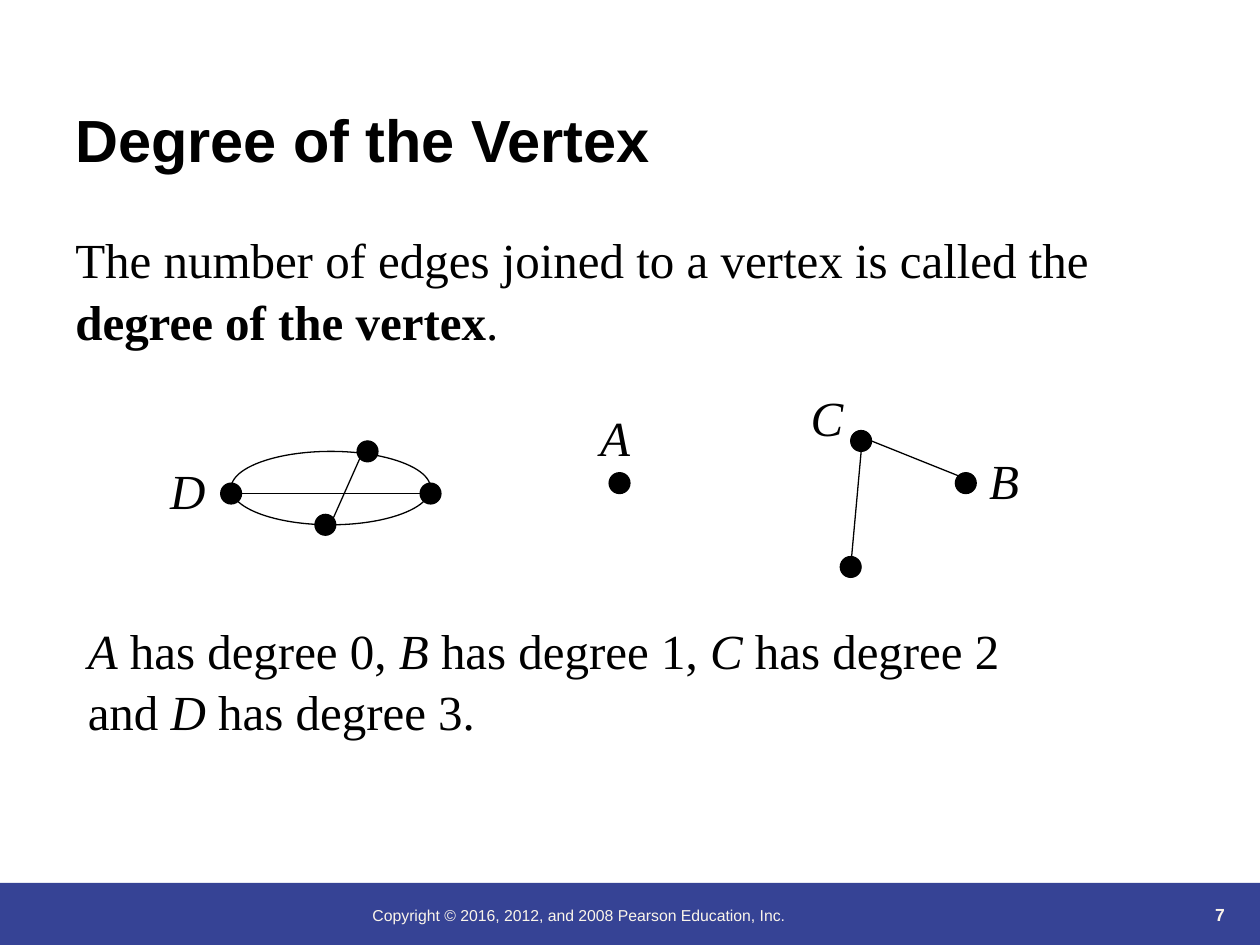
from lxml.etree import SubElement
from pptx import Presentation
from pptx.dml.color import RGBColor
from pptx.enum.shapes import MSO_CONNECTOR, MSO_SHAPE
from pptx.enum.text import MSO_ANCHOR, PP_ALIGN
from pptx.oxml.ns import qn
from pptx.util import Cm, Pt

COLORS = {"black": "000000", "band": "364395", "footer": "FBF5EA"}
SANS, SERIF = "Arial", "Times New Roman"
DOT = 0.42
VERTICES = {
    "A": (12.49, 9.74), "B": (19.47, 9.74), "C": (17.36, 8.89),
    "C end": (17.15, 11.43), "D": (4.66, 9.95), "right": (8.68, 9.95),
    "top": (7.41, 9.1), "bottom": (6.56, 10.58),
}
EDGES = [
    ((17.15, 11.43), (17.36, 9.1)),
    ((17.57, 8.89), (19.69, 9.74)),
    ((6.56, 10.8), (7.41, 8.89)),
    ((4.66, 9.95), (8.47, 9.95)),
]
LABELS = {"A": (11.85, 8.04), "B": (19.69, 8.89),
          "C": (16.09, 7.62), "D": (3.18, 9.1)}


def rgb(name):
    return RGBColor.from_string(COLORS[name])


def add_text(s, box, runs, size=28, font=SERIF, color="black",
             anchor=MSO_ANCHOR.TOP, align=PP_ALIGN.LEFT, spacing=1.0):
    """Add one paragraph; runs are (text, style), style holding "b" or "i"."""
    tf = s.shapes.add_textbox(*map(Cm, box)).text_frame
    tf.word_wrap = True
    tf.vertical_anchor = anchor
    p = tf.paragraphs[0]
    p.alignment = align
    p.line_spacing = spacing
    for text, style in runs:
        r = p.add_run()
        r.text = text
        r.font.name, r.font.size = font, Pt(size)
        r.font.bold, r.font.italic = "b" in style, "i" in style
        r.font.color.rgb = rgb(color)


def add_figure(s, kind, box, fill=None, line=None):
    sp = s.shapes.add_shape(kind, *map(Cm, box))
    sp.shadow.inherit = False
    if fill:
        sp.fill.solid()
        sp.fill.fore_color.rgb = rgb(fill)
    else:
        sp.fill.background()
    if line:
        sp.line.color.rgb = rgb(line)
        sp.line.width = Pt(0.75)
    else:
        sp.line.fill.background()


def add_vertex(s, x, y):
    add_figure(s, MSO_SHAPE.OVAL, (x - DOT / 2, y - DOT / 2, DOT, DOT),
               "black", "black")


def add_edge(s, start, end):
    edge = s.shapes.add_connector(MSO_CONNECTOR.STRAIGHT,
                                  *map(Cm, start + end))
    edge.line.color.rgb = rgb("black")
    edge.line.width = Pt(0.75)
    SubElement(edge._element.spPr, qn("a:effectLst"))


def add_graphs(s):
    for center in VERTICES.values():
        add_vertex(s, *center)
    for start, end in EDGES:
        add_edge(s, start, end)
    add_figure(s, MSO_SHAPE.OVAL, (4.66, 9.1, 4.02, 1.48), line="black")
    for name, (x, y) in LABELS.items():
        add_text(s, (x, y, 1.48, 1.45), [(name, "i")], spacing=1.05)


def add_footer(s):
    add_figure(s, MSO_SHAPE.RECTANGLE, (0, 17.8, 25.4, 1.27), "band")
    add_text(s, (7.26, 18.14, 12.5, 1.27),
             [("Copyright © 2016, 2012, and 2008 Pearson Education, Inc.", "")],
             9, SANS, "footer")
    add_text(s, (22.6, 17.5, 2.34, 1.27), [("7", "b")], 10, SANS, "footer",
             MSO_ANCHOR.BOTTOM, PP_ALIGN.RIGHT)


def main():
    prs = Presentation()
    prs.slide_width, prs.slide_height = Cm(25.4), Cm(19.05)
    s = prs.slides.add_slide(prs.slide_layouts[6])
    add_footer(s)
    add_text(s, (1.27, 0.46, 22.86, 3.18), [("Degree of the Vertex", "b")],
             34, SANS, anchor=MSO_ANCHOR.BOTTOM)
    add_text(s, (1.27, 4.45, 21.6, 2.62), [
        ("The number of edges joined to a vertex is called the ", ""),
        ("degree of the vertex", "b"), (".", "")], spacing=1.05)
    add_graphs(s)
    add_text(s, (1.52, 12.32, 19.05, 2.62), [
        ("A", "i"), (" has degree 0, ", ""), ("B", "i"),
        (" has degree 1, ", ""), ("C", "i"), (" has degree 2 and ", ""),
        ("D", "i"), (" has degree 3.", "")], spacing=1.05)
    prs.save("out.pptx")


if __name__ == "__main__":
    main()
